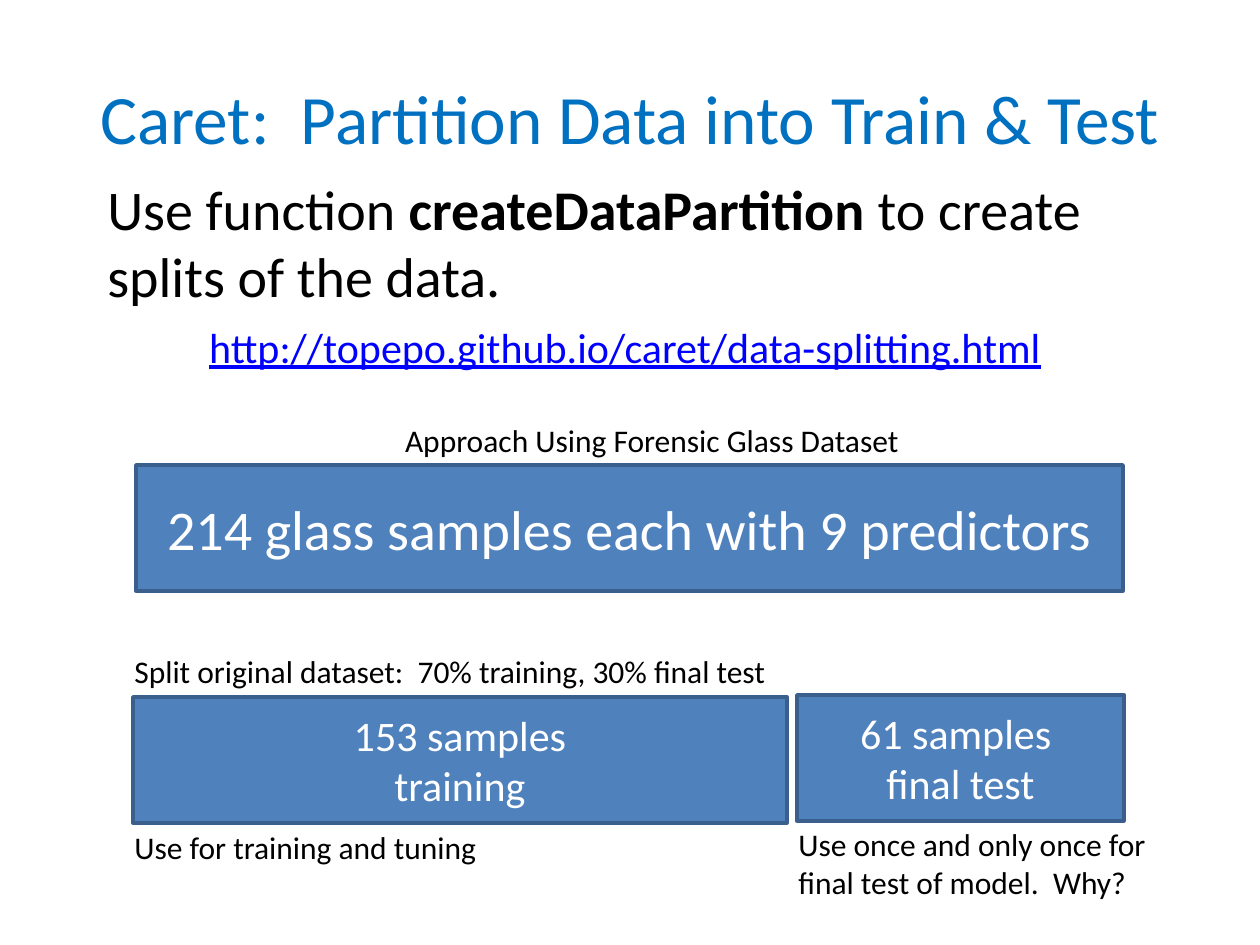
from dataclasses import dataclass

from pptx import Presentation
from pptx.dml.color import RGBColor
from pptx.enum.shapes import MSO_SHAPE
from pptx.enum.text import MSO_ANCHOR, PP_ALIGN
from pptx.util import Emu, Pt


@dataclass(frozen=True)
class Theme:
    font: str = "Calibri"
    title: str = "0070C0"
    text: str = "000000"
    link: str = "0000FF"
    fill: str = "4F81BD"
    line: str = "3A5F8C"
    white: str = "FFFFFF"
    title_size: float = 39.6
    large: int = 32
    medium: int = 24
    small: int = 18


T = Theme()
PX = 914400 / 126


def place(sp, box):
    sp.left, sp.top, sp.width, sp.height = [Emu(round(v * PX)) for v in box]


def add_run(p, text, size, color, bold=False, underline=False):
    r = p.add_run()
    r.text = text
    r.font.name = T.font
    r.font.size = Pt(size)
    r.font.bold = bold
    r.font.underline = underline
    r.font.color.rgb = RGBColor.from_string(color)


prs = Presentation()
prs.slide_width = Emu(round(1260 * PX))
prs.slide_height = Emu(round(945 * PX))
s = prs.slides.add_slide(prs.slide_layouts[5])

title = s.shapes.title
place(title, (63, 38, 1134, 157))
tf = title.text_frame
tf.vertical_anchor = MSO_ANCHOR.MIDDLE
p = tf.paragraphs[0]
p.alignment = PP_ALIGN.CENTER
add_run(p, "Caret:  Partition Data into Train & Test", T.title_size, T.title)

sp = s.shapes.add_textbox(0, 0, 0, 0)
place(sp, (95, 168, 1124, 210))
tf = sp.text_frame
tf.word_wrap = True
p = tf.paragraphs[0]
add_run(p, "Use function ", T.large, T.text)
add_run(p, "createDataPartition ", T.large, T.text, bold=True)
add_run(p, "to create splits of the data.", T.large, T.text)

sp = s.shapes.add_textbox(0, 0, 0, 0)
place(sp, (187, 315, 876, 63))
tf = sp.text_frame
tf.word_wrap = False
p = tf.paragraphs[0]
p.alignment = PP_ALIGN.CENTER
add_run(p, "http://topepo.github.io/caret/data-splitting.html", T.medium, T.link, underline=True)

bars = [
    ((136, 465, 987, 126), T.large, ["214 glass samples each with 9 predictors"]),
    ((133, 697, 654, 126), T.medium, ["153 samples", "training"]),
    ((797, 695, 327, 126), T.medium, ["61 samples ", "final test"]),
]
for box, size, lines in bars:
    sp = s.shapes.add_shape(MSO_SHAPE.RECTANGLE, 0, 0, 0, 0)
    place(sp, box)
    sp.shadow.inherit = False
    sp.fill.solid()
    sp.fill.fore_color.rgb = RGBColor.from_string(T.fill)
    sp.line.color.rgb = RGBColor.from_string(T.line)
    sp.line.width = Pt(2)
    tf = sp.text_frame
    tf.word_wrap = True
    tf.vertical_anchor = MSO_ANCHOR.MIDDLE
    p = tf.paragraphs[0]
    p.alignment = PP_ALIGN.CENTER
    for i, line in enumerate(lines):
        if i:
            p.add_line_break()
        add_run(p, line, size, T.white)

captions = [
    ((122, 646, 760, 50), PP_ALIGN.LEFT, ["Split original dataset:  70% training, 30% final test"]),
    ((157, 415, 990, 50), PP_ALIGN.CENTER, ["Approach Using Forensic Glass Dataset"]),
    ((122, 822, 508, 50), PP_ALIGN.LEFT, ["Use for training and tuning"]),
    ((786, 819, 401, 89), PP_ALIGN.LEFT, ["Use once and only once for", "final test of model.  Why?"]),
]
for box, align, lines in captions:
    sp = s.shapes.add_textbox(0, 0, 0, 0)
    place(sp, box)
    tf = sp.text_frame
    tf.word_wrap = True
    for i, line in enumerate(lines):
        p = tf.add_paragraph() if i else tf.paragraphs[0]
        p.alignment = align
        add_run(p, line, T.small, T.text)

prs.save("out.pptx")
